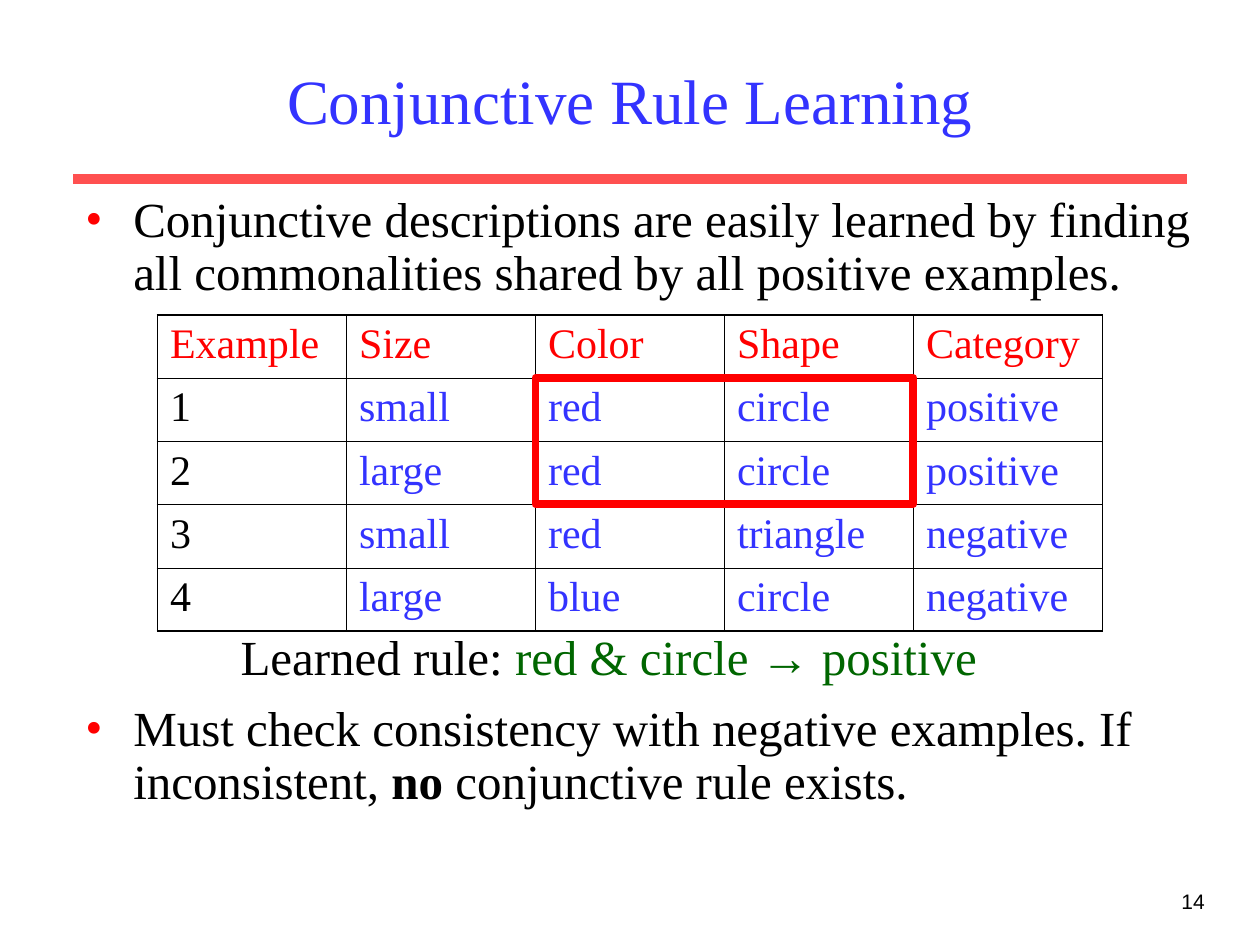
from lxml import etree
from pptx import Presentation
from pptx.dml.color import RGBColor
from pptx.enum.shapes import MSO_CONNECTOR, MSO_SHAPE
from pptx.enum.text import MSO_ANCHOR, PP_ALIGN
from pptx.oxml.ns import qn
from pptx.util import Inches, Pt

COLORS = {
    "black": "000000",
    "blue": "3333FF",
    "red": "FF0000",
    "coral": "FF5050",
    "green": "006600",
}
SERIF = "Times New Roman"


def add_run(paragraph, text, size, color, font=SERIF, bold=False):
    run = paragraph.add_run()
    run.text = text
    run.font.size = Pt(size)
    run.font.name = font
    run.font.bold = bold
    run.font.color.rgb = RGBColor.from_string(COLORS[color])


def add_text(left, top, width, height, runs, align=PP_ALIGN.LEFT, anchor=MSO_ANCHOR.TOP):
    box = slide.shapes.add_textbox(Inches(left), Inches(top), Inches(width), Inches(height))
    box.text_frame.word_wrap = True
    box.text_frame.vertical_anchor = anchor
    paragraph = box.text_frame.paragraphs[0]
    paragraph.alignment = align
    for run in runs:
        add_run(paragraph, *run)
    return paragraph


presentation = Presentation()
presentation.slide_width = Inches(10)
presentation.slide_height = Inches(7.5)
slide = presentation.slides.add_slide(presentation.slide_layouts[6])

rule = slide.shapes.add_connector(
    MSO_CONNECTOR.STRAIGHT, Inches(0.58), Inches(1.42), Inches(9.42), Inches(1.42)
)
rule.line.color.rgb = RGBColor.from_string(COLORS["coral"])
rule.line.width = Pt(6)
etree.SubElement(rule._element.spPr, qn("a:effectLst"))

add_text(7.58, 7, 2.08, 0.5, [("14", 12, "black", "Arial")], PP_ALIGN.RIGHT)
add_text(
    0.75, 0.25, 8.5, 1.08,
    [("Conjunctive Rule Learning", 36, "blue")],
    PP_ALIGN.CENTER, MSO_ANCHOR.MIDDLE,
)

bullets = [
    (1.5, [("Conjunctive descriptions are easily learned by finding all "
            "commonalities shared by all positive examples.", 28, "black")]),
    (5.54, [
        ("Must check consistency with negative examples. If inconsistent, ", 28, "black"),
        ("no", 28, "black", SERIF, True),
        (" conjunctive rule exists.", 28, "black"),
    ]),
]
for top, runs in bullets:
    paragraph = add_text(0.58, top, 9.17, 1, runs)
    paragraph.line_spacing = 0.9
    properties = paragraph._p.get_or_add_pPr()
    properties.set("marL", str(Inches(0.38)))
    properties.set("indent", str(-Inches(0.38)))
    bullet_color = etree.SubElement(properties, qn("a:buClr"))
    etree.SubElement(bullet_color, qn("a:srgbClr"), val=COLORS["red"])
    etree.SubElement(properties, qn("a:buFont"), typeface=SERIF)
    etree.SubElement(properties, qn("a:buChar"), char="•")

examples = [
    ["Example", "Size", "Color", "Shape", "Category"],
    ["1", "small", "red", "circle", "positive"],
    ["2", "large", "red", "circle", "positive"],
    ["3", "small", "red", "triangle", "negative"],
    ["4", "large", "blue", "circle", "negative"],
]
last = len(examples) - 1
table = slide.shapes.add_table(
    5, 5, Inches(1.25), Inches(2.5), Inches(7.5), Inches(2.51)
).table
for row, values in enumerate(examples):
    for column, value in enumerate(values):
        cell = table.cell(row, column)
        color = "red" if row == 0 else "black" if column == 0 else "blue"
        add_run(cell.text_frame.paragraphs[0], value, 24, color)
        outer_edges = {
            "a:lnL": column == 0,
            "a:lnR": column == last,
            "a:lnT": row == 0,
            "a:lnB": row == last,
        }
        cell_properties = cell._tc.get_or_add_tcPr()
        for edge, is_outer in outer_edges.items():
            width = Pt(1.08 if is_outer else 0.45)
            border = etree.SubElement(cell_properties, qn(edge), w=str(width))
            fill = etree.SubElement(border, qn("a:solidFill"))
            etree.SubElement(fill, qn("a:srgbClr"), val=COLORS["black"])
        cell.fill.background()

highlight = slide.shapes.add_shape(
    MSO_SHAPE.RECTANGLE, Inches(4.25), Inches(3), Inches(3), Inches(1)
)
highlight.shadow.inherit = False
highlight.fill.background()
highlight.line.color.rgb = RGBColor.from_string(COLORS["red"])
highlight.line.width = Pt(4.5)

add_text(
    1.42, 4.92, 6.92, 0.57,
    [("Learned rule: ", 28, "black"), ("red & circle → positive ", 28, "green")],
    PP_ALIGN.CENTER,
)

presentation.save("out.pptx")
